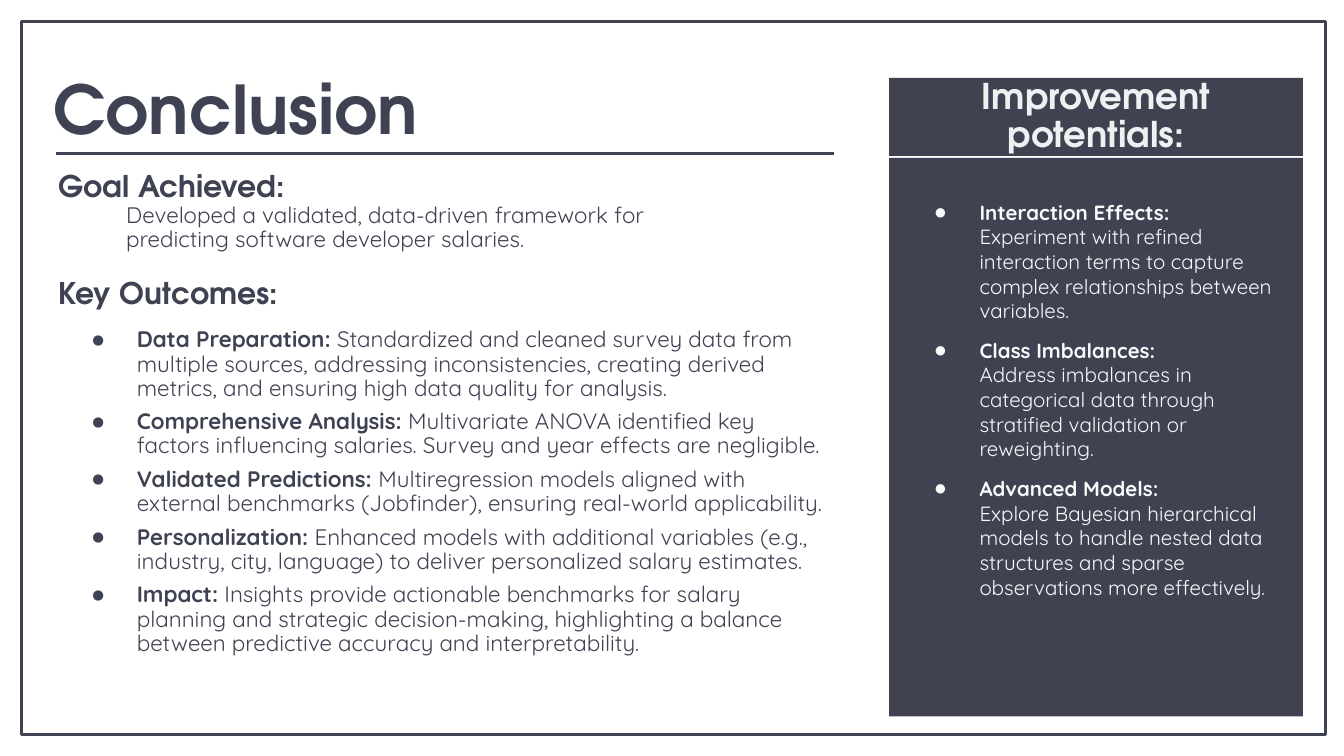
from copy import deepcopy
from dataclasses import dataclass

from lxml import etree
from pptx import Presentation
from pptx import util as u
from pptx.dml.color import RGBColor
from pptx.enum import shapes, text
from pptx.oxml.ns import qn

SCALE = 4572  # EMU per px, 200 px to the inch
INK, PANEL, PALE, LIGHT = "3F4252", "404251", "F8FAFB", "EEF0F2"
HEAD, BODY = "TeX Gyre Adventor", "Quicksand"


@dataclass
class Box:
    x: int
    y: int
    w: int
    h: int

    def emu(self) -> list[u.Emu]:
        return [px(n) for n in (self.x, self.y, self.w, self.h)]


@dataclass
class Item:
    label: str
    body: str


OUTCOMES = [
    Item("Data Preparation:", "Standardized and cleaned survey data from multiple sources, "
         "addressing inconsistencies, creating derived metrics, and ensuring high data "
         "quality for analysis."),
    Item("Comprehensive Analysis:", "Multivariate ANOVA identified key factors influencing "
         "salaries. Survey and year effects are negligible."),
    Item("Validated Predictions:", "Multiregression models aligned with external benchmarks "
         "(Jobfinder), ensuring real-world applicability."),
    Item("Personalization:", "Enhanced models with additional variables (e.g., industry, "
         "city, language) to deliver personalized salary estimates."),
    Item("Impact:", "Insights provide actionable benchmarks for salary planning and strategic "
         "decision-making, highlighting a balance between predictive accuracy and "
         "interpretability."),
]
IDEAS = [
    Item("Interaction Effects:", "Experiment with refined interaction terms to capture "
         "complex relationships between variables."),
    Item("Class Imbalances:", "Address imbalances in categorical data through stratified "
         "validation or reweighting."),
    Item("Advanced Models:", "Explore Bayesian hierarchical models to handle nested data "
         "structures and sparse observations more effectively."),
]


def px(n: int) -> u.Emu:
    return u.Emu(n * SCALE)


def rgb(code: str) -> RGBColor:
    return RGBColor.from_string(code)


def rect(slide, box: Box, fill: str = "", line: str = ""):
    shape = slide.shapes.add_shape(shapes.MSO_SHAPE.RECTANGLE, *box.emu())
    shape.shadow.inherit = False
    if fill:
        shape.fill.solid()
        shape.fill.fore_color.rgb = rgb(fill)
    else:
        shape.fill.background()
    if line:
        shape.line.color.rgb = rgb(line)
        shape.line.width = u.Pt(1.5)
    else:
        shape.line.fill.background()
    return shape


def rule(slide, x: int, y: int, end: int) -> None:
    line = slide.shapes.add_connector(
        shapes.MSO_CONNECTOR.STRAIGHT, px(x), px(y), px(end), px(y))
    line.line.color.rgb = rgb(INK)
    line.line.width = u.Pt(1.5)
    etree.SubElement(line._element.spPr, qn("a:effectLst"))


def frame(shape, anchor=text.MSO_ANCHOR.TOP):
    """Prepare the text frame of a shape: wrapping, even insets, anchor."""
    tf = shape.text_frame
    tf.word_wrap = True
    tf.margin_left = tf.margin_right = tf.margin_top = tf.margin_bottom = px(20)
    tf.vertical_anchor = anchor
    return tf


def area(slide, box: Box):
    return frame(slide.shapes.add_textbox(*box.emu()))


def write(para, words: str, *, size: int, font: str = HEAD, color: str = INK,
          bold: bool = True):
    run = para.add_run()
    run.text = words
    run.font.size = u.Pt(size)
    run.font.name = font
    run.font.bold = bold
    run.font.color.rgb = rgb(color)
    return run


def indent(para, left: int, first: int = 0) -> None:
    props = para._p.get_or_add_pPr()
    props.set("marL", str(px(left)))
    props.set("indent", str(px(first)))


def bullet(para, color: str) -> None:
    indent(para, 100, -66)
    props = para._p.get_or_add_pPr()
    tint = etree.SubElement(props, qn("a:buClr"))
    etree.SubElement(tint, qn("a:srgbClr"), val=color)
    etree.SubElement(props, qn("a:buSzPct"), val="60000")
    etree.SubElement(props, qn("a:buFont"), typeface=BODY)
    etree.SubElement(props, qn("a:buChar"), char="●")


def bullets(tf, items: list[Item], *, size: int, color: str, gap: int,
            lead: float, split: bool = False) -> None:
    """List items with bold labels; split puts each body on a new line."""
    for i, item in enumerate(items):
        para = tf.add_paragraph() if i else tf.paragraphs[0]
        para.line_spacing = lead
        para.space_before = u.Pt(gap if i else 0)
        para.space_after = u.Pt(gap if item is items[-1] else 0)
        bullet(para, color)
        label = write(para, item.label + " " * split, size=size, font=BODY, color=color)
        if split:
            para.add_line_break()
            para._p[-1].append(deepcopy(label._r.rPr))
        write(para, " " * (not split) + item.body, size=size, font=BODY,
              color=color, bold=False)


def heading(tf, words: str, size: int = 16, color: str = INK):
    para = tf.paragraphs[0]
    para.line_spacing = 0.9
    write(para, words, size=size, color=color)
    return para


def main() -> None:
    deck = Presentation()
    deck.slide_width, deck.slide_height = px(2000), px(1125)
    slide = deck.slides.add_slide(deck.slide_layouts[6])

    rect(slide, Box(32, 32, 1941, 1061), line=INK)
    rect(slide, Box(1323, 235, 616, 831), fill=PANEL)
    rule(slide, 84, 228, 1241)

    goal = area(slide, Box(68, 236, 1032, 198))
    heading(goal, "Goal Achieved:")
    para = goal.add_paragraph()
    para.line_spacing = 0.9
    indent(para, 100)
    write(para, "Developed a validated, data-driven framework for predicting software "
          "developer salaries.", size=12, font=BODY, bold=False)

    heading(area(slide, Box(68, 395, 656, 88)), "Key Outcomes:")
    bullets(area(slide, Box(84, 469, 1172, 542)), OUTCOMES,
            size=12, color=INK, gap=5, lead=0.9)

    banner = rect(slide, Box(1323, 116, 616, 116), fill=PANEL)
    para = heading(frame(banner, text.MSO_ANCHOR.MIDDLE), "Improvement potentials:",
                   19, LIGHT)
    para.alignment = text.PP_ALIGN.CENTER
    bullets(area(slide, Box(1338, 277, 588, 652)), IDEAS,
            size=11, color=PALE, gap=8, lead=1.0, split=True)

    title = area(slide, Box(60, 80, 1220, 126))
    write(title.paragraphs[0], "Conclusion", size=36)

    deck.save("out.pptx")


if __name__ == "__main__":
    main()
